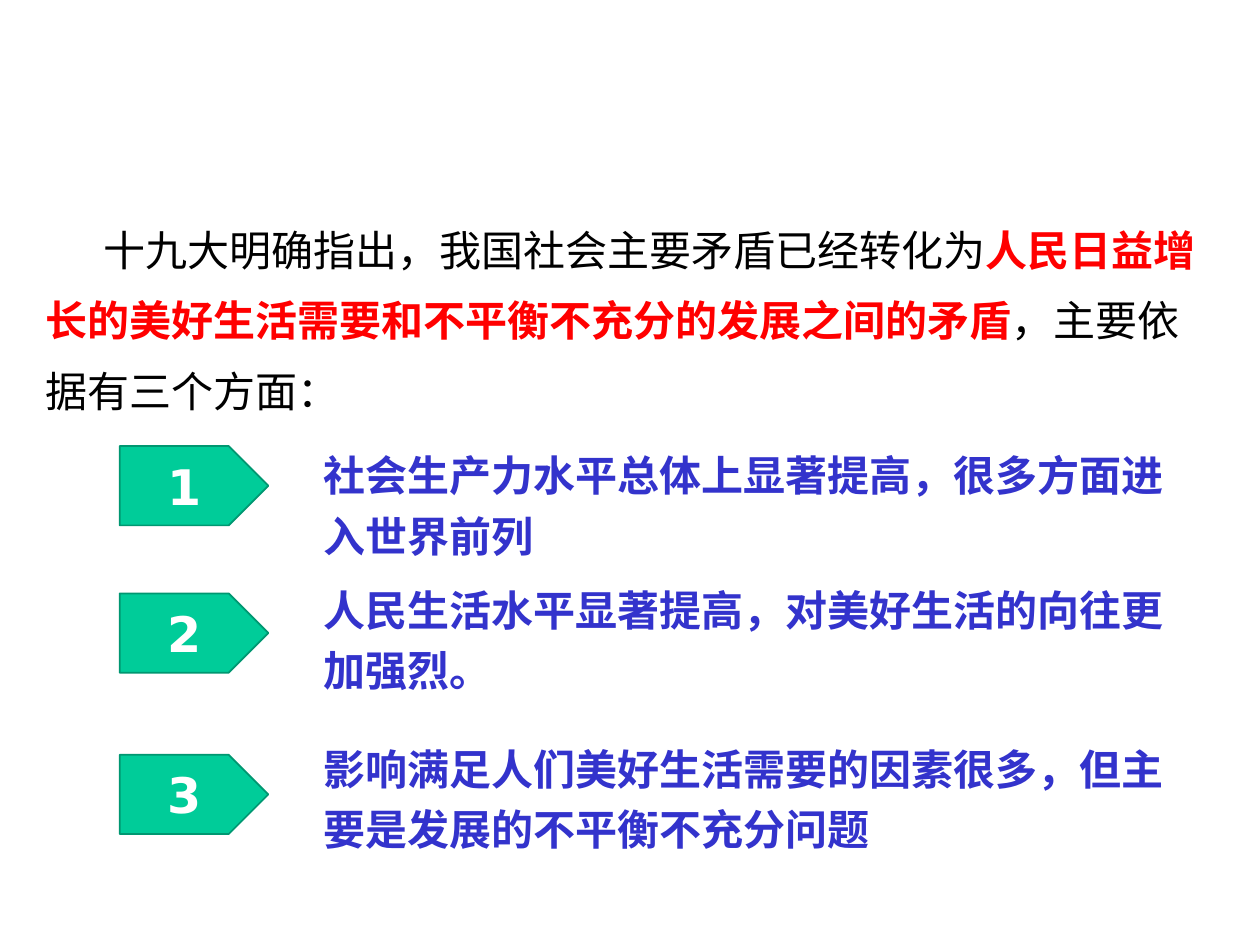
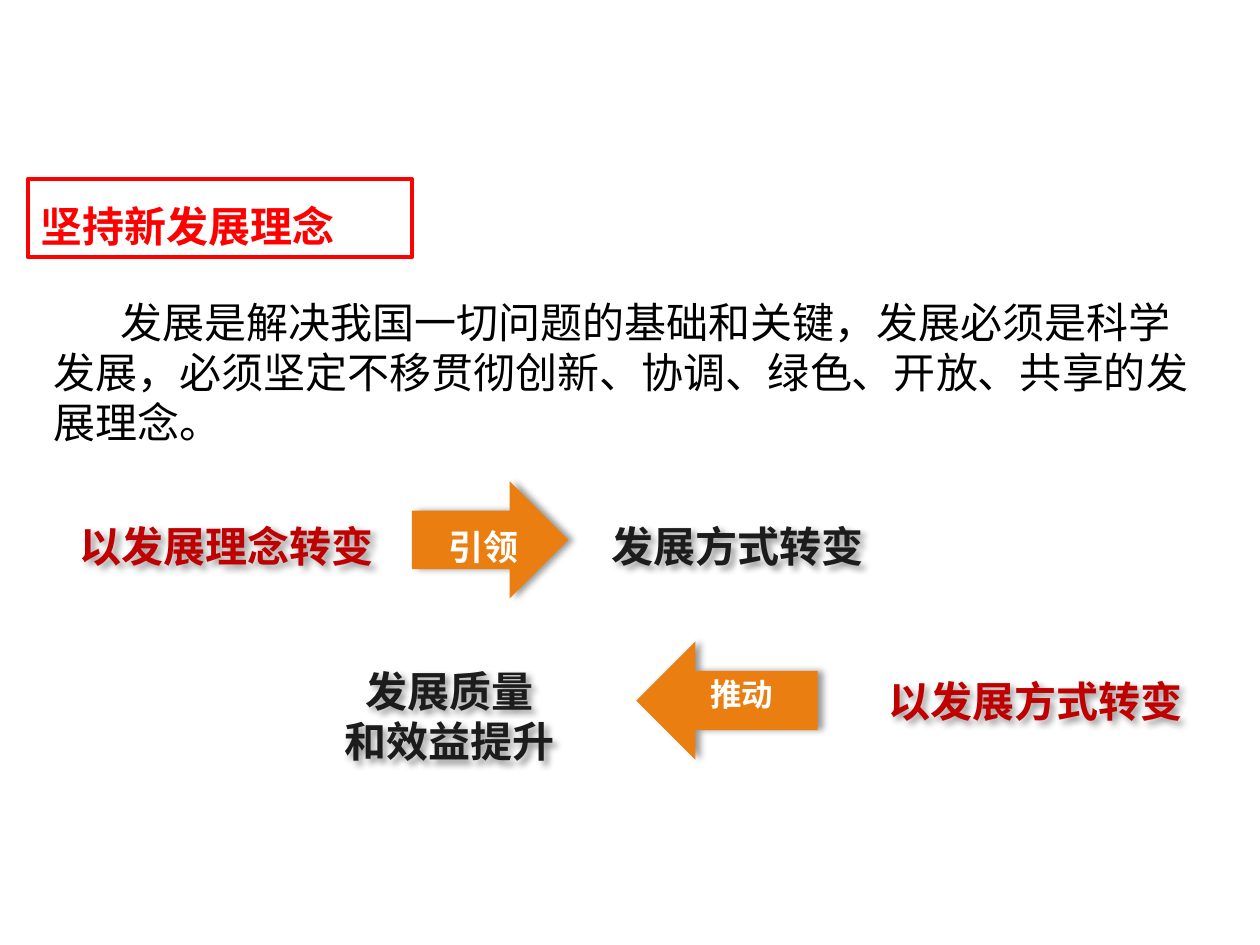
from pptx import Presentation
from pptx.dml.color import RGBColor
from pptx.enum.shapes import MSO_SHAPE
from pptx.enum.text import MSO_ANCHOR, PP_ALIGN
from pptx.oxml import parse_xml
from pptx.oxml.ns import nsdecls
from pptx.util import Inches, Pt

HUES = {"red": "FF0000", "dark": "C00000", "ink": "1C1C1C", "black": "000000",
        "blue": "3333CC", "green": "00CC99", "edge": "009771",
        "orange": "EA7E11", "white": "FFFFFF"}
CJK = "Noto Sans CJK SC"


def shade(shape, angle):
    """Give a shape a soft shadow; angle in degrees."""
    shape.shadow.inherit = False
    fx = shape.element.spPr.find("{*}effectLst")
    fx.append(parse_xml(
        f'<a:outerShdw {nsdecls("a")} blurRad="{Pt(4)}" dist="{Pt(3)}" '
        f'dir="{angle * 60000}" algn="tl" rotWithShape="0">'
        f'<a:srgbClr val="{HUES["black"]}"><a:alpha val="40000"/></a:srgbClr>'
        '</a:outerShdw>'))


def write(slide, text, box, hue="black", size=24, bold=True, font=CJK,
          align=PP_ALIGN.LEFT, anchor=MSO_ANCHOR.TOP, lines=1.0, indent=0,
          kind=None, fill=None, edge=None, width=1):
    """Add text in a box or a shape; text may be a list of (words, hue, bold)."""
    place = [Inches(n) for n in box]
    if kind is None:
        shape = slide.shapes.add_textbox(*place)
    else:
        shape = slide.shapes.add_shape(kind, *place)
        shape.shadow.inherit = False
        if fill:
            shape.fill.solid()
            shape.fill.fore_color.rgb = RGBColor.from_string(HUES[fill])
        else:
            shape.fill.background()
        if edge:
            shape.line.color.rgb = RGBColor.from_string(HUES[edge])
            shape.line.width = Pt(width)
        else:
            shape.line.fill.background()
    frame = shape.text_frame
    frame.word_wrap = True
    frame.vertical_anchor = anchor
    runs = [(text, hue, bold)] if isinstance(text, str) else text
    para = frame.paragraphs[0]
    for words, tone, heavy in runs:
        for row, part in enumerate(words.split("\n")):
            if row:
                para = frame.add_paragraph()
            para.alignment = align
            para.line_spacing = lines
            if indent:
                para._p.get_or_add_pPr().set("indent", str(Inches(indent)))
            run = para.add_run()
            run.text = part
            run.font.size = Pt(size)
            run.font.bold = heavy
            run.font.name = font
            run.font.color.rgb = RGBColor.from_string(HUES[tone])
            run.font._element.find("{*}latin").addnext(
                parse_xml(f'<a:ea {nsdecls("a")} typeface="{CJK}"/>'))
    return shape


deck = Presentation()
deck.slide_width, deck.slide_height = Inches(10), Inches(7.5)
blank = deck.slide_layouts[6]

# Slide 1: the main contradiction and its three grounds
slide = deck.slides.add_slide(blank)
write(slide, [("十九大明确指出，我国社会主要矛盾已经转化为", "black", False),
              ("人民日益增长的美好生活需要和不平衡不充分的发展之间的矛盾", "red", True),
              ("，主要依据有三个方面：", "black", False)],
      (0.26, 1.57, 9.38, 1.87), lines=1.4, indent=0.46)

grounds = [(3.54, 3.44, "社会生产力水平总体上显著提高，很多方面进入世界前列"),
           (4.71, 4.51, "人民生活水平显著提高，对美好生活的向往更加强烈。"),
           (5.99, 5.77, "影响满足人们美好生活需要的因素很多，但主要是发展的不平衡不充分问题")]
for num, (tag, top, text) in enumerate(grounds, 1):
    write(slide, str(num), (0.95, tag, 1.18, 0.63), "white", 28,
          font="DejaVu Sans", align=PP_ALIGN.CENTER, anchor=MSO_ANCHOR.MIDDLE,
          kind=MSO_SHAPE.PENTAGON, fill="green", edge="edge")
    write(slide, text, (2.47, top, 6.89, 1.07), "blue", lines=1.2)

# Slide 2: title and lead text
slide = deck.slides.add_slide(blank)
write(slide, "坚持新发展理念", (0.22, 1.42, 3.05, 0.62), "red",
      anchor=MSO_ANCHOR.BOTTOM, kind=MSO_SHAPE.RECTANGLE, edge="red", width=2.25)
write(slide, "发展是解决我国一切问题的基础和关键，发展必须是科学发展，"
      "必须坚定不移贯彻创新、协调、绿色、开放、共享的发展理念。",
      (0.33, 2.3, 9.29, 1.78), bold=False, indent=0.53)

# Arrows with their captions
arrows = [(MSO_SHAPE.RIGHT_ARROW, (3.27, 3.82, 1.24, 0.93),
           "引领", (3.46, 4.12, 0.86, 0.44), 20),
          (MSO_SHAPE.LEFT_ARROW, (5.05, 5.09, 1.44, 0.94),
           "推动", (5.54, 5.31, 0.95, 0.4), 18)]
for kind, box, text, spot, size in arrows:
    shade(write(slide, [], box, kind=kind, fill="orange"), 0)
    write(slide, text, spot, "white", size)

# Causes and results beside the arrows
terms = [("以发展理念转变", (0.33, 4.08, 2.94, 0.5), "dark"),
         ("发展方式转变", (4.71, 4.08, 2.29, 0.5), "ink"),
         ("以发展方式转变", (6.81, 5.31, 2.81, 0.5), "dark"),
         ("发展质量\n和效益提升", (2.42, 5.23, 2.29, 0.91), "ink")]
for text, box, hue in terms:
    shade(write(slide, text, box, hue, font="Arial", align=PP_ALIGN.CENTER), 45)

deck.save("out.pptx")
